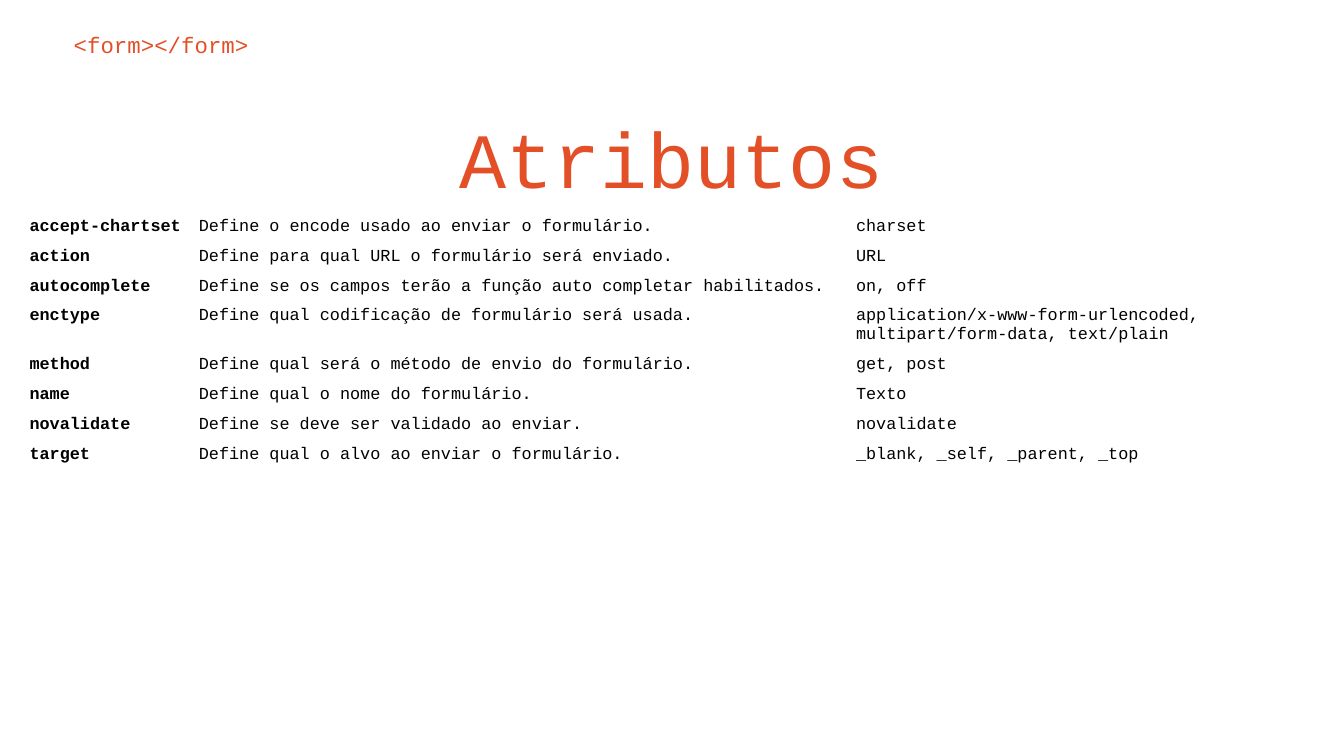
import pptx
import pptx.dml.color
import pptx.enum.text
import pptx.util

Inches = pptx.util.Inches
Align = pptx.enum.text.PP_ALIGN

TAG = "<form></form>"
TITLE = "Atributos"
ATTRIBUTES = [
    ("accept-chartset", "Define o encode usado ao enviar o formulário.", "charset"),
    ("action", "Define para qual URL o formulário será enviado.", "URL"),
    ("autocomplete", "Define se os campos terão a função auto completar habilitados.", "on, off"),
    ("enctype", "Define qual codificação de formulário será usada.",
     "application/x-www-form-urlencoded, multipart/form-data, text/plain"),
    ("method", "Define qual será o método de envio do formulário.", "get, post"),
    ("name", "Define qual o nome do formulário.", "Texto"),
    ("novalidate", "Define se deve ser validado ao enviar.", "novalidate"),
    ("target", "Define qual o alvo ao enviar o formulário.", "_blank, _self, _parent, _top"),
]
COLUMN_WIDTHS = (1.26, 4.89, 3.37)
ROW_HEIGHT = 0.2

THEME = {
    "font": "Courier New",
    "accent": "E34F26",
    "ink": "000000",
    "title": 42,
    "tag": 12,
    "cell": 9,
}


def write(frame, text, size, color="ink", bold=False, align=Align.LEFT):
    frame.word_wrap = True
    frame.vertical_anchor = pptx.enum.text.MSO_ANCHOR.TOP
    para = frame.paragraphs[0]
    para.alignment = align
    span = para.add_run()
    span.text = text
    span.font.name = THEME["font"]
    span.font.size = pptx.util.Pt(THEME[size])
    span.font.bold = bold
    span.font.color.rgb = pptx.dml.color.RGBColor.from_string(THEME[color])


def set_margins(target, margin):
    target.margin_left = target.margin_right = Inches(margin)
    target.margin_top = target.margin_bottom = Inches(margin)


def add_headings(page):
    tag = page.shapes.add_textbox(Inches(0.45), Inches(0.13), Inches(9.18), Inches(0.42))
    title = page.shapes.title
    title.left, title.top = Inches(0.71), Inches(0.72)
    title.width, title.height = Inches(8.57), Inches(0.86)
    for box in (tag, title):
        set_margins(box.text_frame, 0.1)
        box.text_frame.auto_size = pptx.enum.text.MSO_AUTO_SIZE.NONE
    write(tag.text_frame, TAG, "tag", color="accent")
    write(title.text_frame, TITLE, "title", color="accent", align=Align.CENTER)


def add_attribute_table(page):
    table = page.shapes.add_table(
        len(ATTRIBUTES), len(COLUMN_WIDTHS), Inches(0.18), Inches(1.58),
        Inches(sum(COLUMN_WIDTHS)), Inches(ROW_HEIGHT * len(ATTRIBUTES))).table
    table.first_row = table.horz_banding = False
    # "No Style, No Grid" keeps the cells free of borders
    table._tbl.tblPr.find(pptx.oxml.ns.qn("a:tableStyleId")).text = (
        "{2D5ABB26-0587-4C30-8999-92F81FD0307C}")
    for column, width in zip(table.columns, COLUMN_WIDTHS):
        column.width = Inches(width)
    for row, texts in zip(table.rows, ATTRIBUTES):
        row.height = Inches(ROW_HEIGHT)
        for index, (cell, text) in enumerate(zip(row.cells, texts)):
            cell.fill.background()
            set_margins(cell, 0.04)
            write(cell.text_frame, text, "cell", bold=index == 0)


def main():
    deck = pptx.Presentation()
    deck.slide_width = Inches(10)
    deck.slide_height = deck.slide_width * 9 // 16
    page = deck.slides.add_slide(deck.slide_layouts.get_by_name("Title Only"))
    add_headings(page)
    add_attribute_table(page)
    deck.save("out.pptx")


if __name__ == "__main__":
    main()
